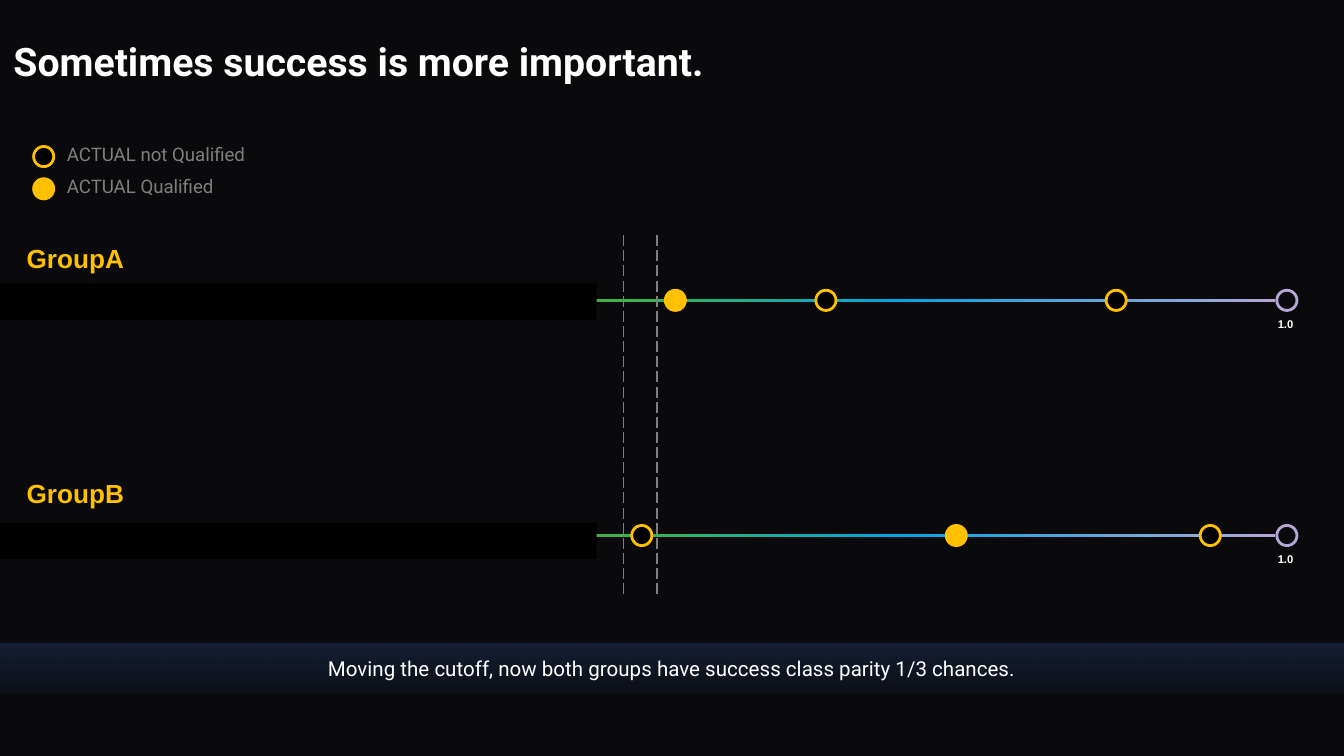
"""Build a slide comparing two groups on score tracks with a moved cutoff."""
from dataclasses import dataclass

from lxml.etree import SubElement
from pptx import Presentation
from pptx.dml.color import RGBColor
from pptx.enum.dml import MSO_LINE
from pptx.enum.shapes import MSO_CONNECTOR, MSO_SHAPE
from pptx.enum.text import MSO_ANCHOR, PP_ALIGN
from pptx.oxml.ns import qn
from pptx.shapes.autoshape import Shape
from pptx.slide import Slide
from pptx.util import Inches, Pt

BACKGROUND, BLACK, WHITE = "0A0A0C", "000000", "FFFFFF"
GOLD, LILAC, GRAY = "FFC000", "B4A7D6", "808080"
DOT_SIZE = 0.15
TRACK_HEIGHT = 0.02


@dataclass(frozen=True)
class Box:
    left: float
    top: float
    width: float
    height: float


@dataclass(frozen=True)
class TextStyle:
    size: float
    color: str
    font: str = "Roboto"
    bold: bool = False
    align: PP_ALIGN = PP_ALIGN.LEFT
    anchor: MSO_ANCHOR = MSO_ANCHOR.TOP
    inset_x: float = 0.1
    inset_y: float = 0.1
    line_spacing: float = 1.0


@dataclass(frozen=True)
class Segment:
    left: float
    width: float
    start: str
    end: str


@dataclass(frozen=True)
class Candidate:
    left: float
    qualified: bool


@dataclass(frozen=True)
class Group:
    name: str
    top: float
    cover_top: float
    candidates: tuple[Candidate, ...]


TITLE = TextStyle(21, WHITE, bold=True, anchor=MSO_ANCHOR.MIDDLE,
                  inset_x=0.07, inset_y=0.04, line_spacing=0.9)
GROUP_NAME = TextStyle(14, GOLD, "Arial", True, anchor=MSO_ANCHOR.MIDDLE)
SCORE = TextStyle(6, WHITE, "Arial", True, PP_ALIGN.CENTER, inset_x=0.05, inset_y=0.05)
LEGEND = TextStyle(10, "7F7F7F")
CAPTION = TextStyle(11, WHITE, align=PP_ALIGN.CENTER, anchor=MSO_ANCHOR.MIDDLE)

SEGMENTS = (
    Segment(2.1, 2.57, "FF5600", "39B54A"),
    Segment(4.67, 2.01, "39B54A", "00A4E4"),
    Segment(6.68, 2.81, "00A4E4", LILAC),
)
GROUPS = (
    Group("GroupA", 1.77, 2.11,
          (Candidate(4.95, True), Candidate(8.23, False), Candidate(6.07, False))),
    Group("GroupB", 3.52, 3.89,
          (Candidate(8.93, False), Candidate(7.04, True), Candidate(4.7, False))),
)


def rgb(color: str) -> RGBColor:
    """Turn a hex string into a colour."""
    return RGBColor.from_string(color)


def write_text(shape: Shape, text: str, style: TextStyle) -> None:
    """Write one styled run into a shape."""
    frame = shape.text_frame
    frame.word_wrap = True
    frame.vertical_anchor = style.anchor
    frame.margin_left = frame.margin_right = Inches(style.inset_x)
    frame.margin_top = frame.margin_bottom = Inches(style.inset_y)
    paragraph = frame.paragraphs[0]
    paragraph.alignment = style.align
    paragraph.line_spacing = style.line_spacing
    run = paragraph.add_run()
    run.text = text
    run.font.name = style.font
    run.font.size = Pt(style.size)
    run.font.bold = style.bold
    run.font.color.rgb = rgb(style.color)


def add_text(slide: Slide, box: Box, text: str, style: TextStyle) -> None:
    """Add a text box."""
    shape = slide.shapes.add_textbox(
        Inches(box.left), Inches(box.top), Inches(box.width), Inches(box.height))
    write_text(shape, text, style)


def add_plain_shape(slide: Slide, kind: MSO_SHAPE, box: Box) -> Shape:
    """Add a preset shape without shadow or outline."""
    shape = slide.shapes.add_shape(
        kind, Inches(box.left), Inches(box.top), Inches(box.width), Inches(box.height))
    shape.shadow.inherit = False
    shape.line.fill.background()
    return shape


def add_dot(slide: Slide, left: float, top: float, fill: str, outline: str) -> None:
    """Add an outlined circle."""
    dot = add_plain_shape(slide, MSO_SHAPE.OVAL, Box(left, top, DOT_SIZE, DOT_SIZE))
    dot.fill.solid()
    dot.fill.fore_color.rgb = rgb(fill)
    dot.line.color.rgb = rgb(outline)
    dot.line.width = Pt(1.5)


def add_candidate(slide: Slide, left: float, top: float, qualified: bool) -> None:
    """Add a gold dot, filled when the candidate is qualified."""
    add_dot(slide, left, top, GOLD if qualified else BLACK, GOLD)


def add_gradient(slide: Slide, box: Box, colors: tuple[str, str], angle: float) -> Shape:
    """Add a rectangle with a two-colour gradient."""
    shape = add_plain_shape(slide, MSO_SHAPE.RECTANGLE, box)
    shape.fill.gradient()
    shape.fill.gradient_angle = angle
    for stop, color in zip(shape.fill.gradient_stops, colors):
        stop.color.rgb = rgb(color)
    return shape


def add_cutoff(slide: Slide, x: float) -> None:
    """Add a dashed vertical cutoff line."""
    line = slide.shapes.add_connector(
        MSO_CONNECTOR.STRAIGHT, Inches(x), Inches(1.75), Inches(x), Inches(4.45))
    line.line.color.rgb = rgb(GRAY)
    line.line.width = Pt(0.75)
    line.line.dash_style = MSO_LINE.LONG_DASH
    SubElement(line._element.spPr, qn("a:effectLst"))


def add_group(slide: Slide, group: Group) -> None:
    """Add one group's name, score track and candidates."""
    dot_top = group.top + 0.39
    add_text(slide, Box(9.26, group.top + 0.54, 0.61, 0.43), "1.0", SCORE)
    add_dot(slide, 9.5, dot_top, BACKGROUND, LILAC)
    track_top = dot_top + (DOT_SIZE - TRACK_HEIGHT) / 2
    for segment in SEGMENTS:
        box = Box(segment.left, track_top, segment.width, TRACK_HEIGHT)
        add_gradient(slide, box, (segment.start, segment.end), 0)
    add_text(slide, Box(0.1, group.top, 1.73, 0.3), group.name, GROUP_NAME)
    for candidate in group.candidates:
        add_candidate(slide, candidate.left, dot_top, candidate.qualified)


def add_caption(slide: Slide) -> None:
    """Add the caption on a fading band."""
    band = add_gradient(slide, Box(0, 4.79, 10, 0.37), ("1A2846", "1A2846"), 270)
    stops = band._element.spPr.iter(qn("a:srgbClr"))
    for color, opacity in zip(stops, (70, 15)):
        SubElement(color, qn("a:alpha"), val=str(opacity * 1000))
    write_text(band, "Moving the cutoff, now both groups have success class parity "
               "1/3 chances.", CAPTION)


def add_cover(slide: Slide, top: float) -> None:
    """Add a black bar that hides the low end of a track."""
    cover = add_plain_shape(slide, MSO_SHAPE.RECTANGLE, Box(0, top, 4.44, 0.27))
    cover.fill.solid()
    cover.fill.fore_color.rgb = rgb(BLACK)


def main() -> None:
    """Build and save the presentation."""
    presentation = Presentation()
    presentation.slide_width = Inches(10)
    presentation.slide_height = Inches(10) * 9 // 16
    slide = presentation.slides.add_slide(presentation.slide_layouts[6])
    slide.background.fill.solid()
    slide.background.fill.fore_color.rgb = rgb(BACKGROUND)
    add_text(slide, Box(0.03, 0.15, 9.85, 0.65), "Sometimes success is more important.", TITLE)
    add_cutoff(slide, 4.64)
    for group in GROUPS:
        add_group(slide, group)
    add_caption(slide)
    for group in GROUPS:
        add_cover(slide, group.cover_top)
    for top, label, width, qualified in ((1.33, "ACTUAL Qualified", 1.57, True),
                                         (1.09, "ACTUAL not Qualified", 2, False)):
        add_candidate(slide, 0.25, top, qualified)
        add_text(slide, Box(0.4, top - 0.11, width, 0.28), label, LEGEND)
    add_cutoff(slide, 4.89)
    presentation.save("out.pptx")


if __name__ == "__main__":
    main()
